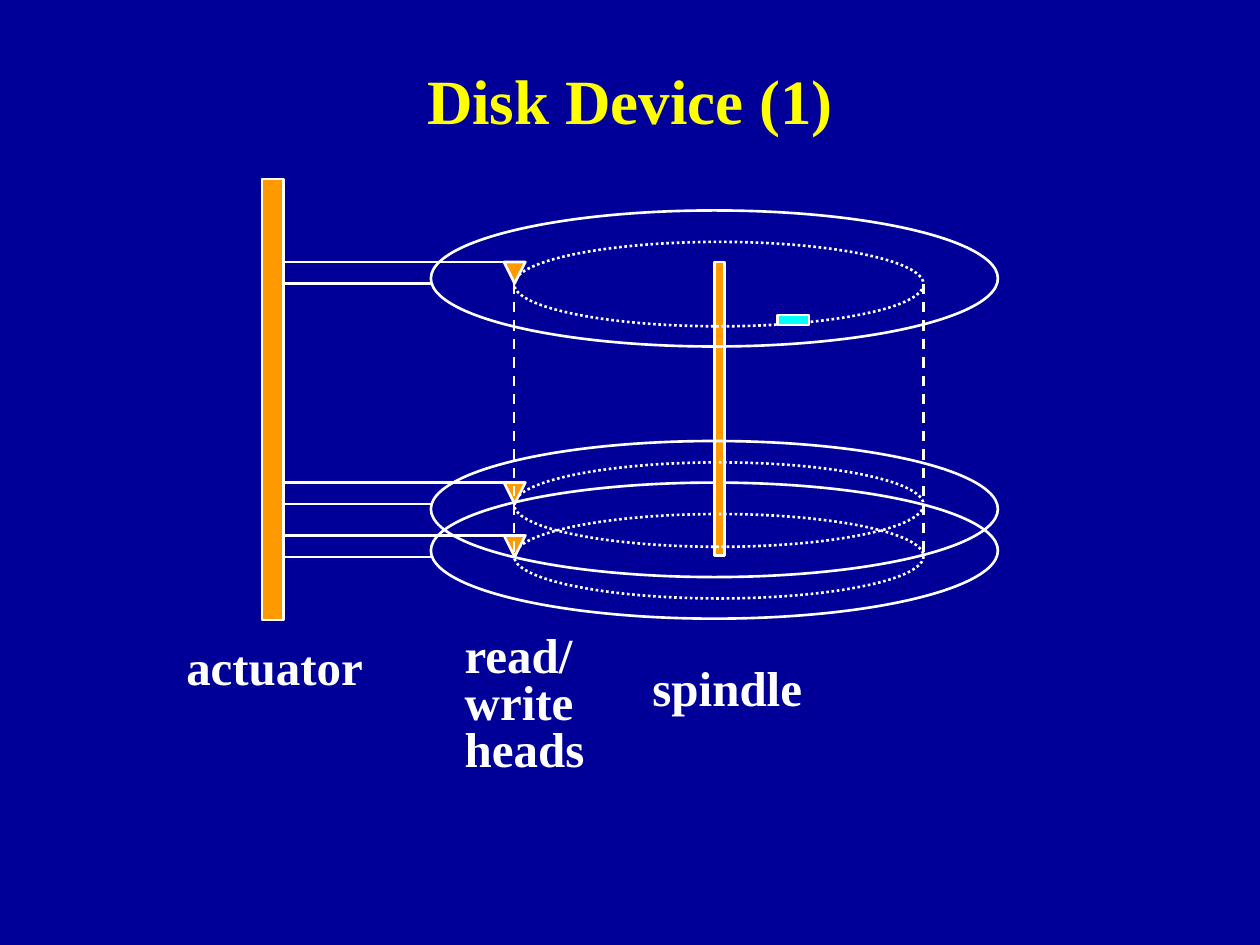
from lxml import etree
from pptx import Presentation
from pptx import util as u
from pptx.dml.color import RGBColor
from pptx.enum import dml, shapes, text
from pptx.oxml.ns import qn

NAVY = RGBColor(0x00, 0x00, 0x99)
YELLOW = RGBColor(0xFF, 0xFF, 0x00)
WHITE = RGBColor(0xFF, 0xFF, 0xFF)
ORANGE = RGBColor(0xFF, 0x99, 0x00)
CYAN = RGBColor(0x00, 0xFF, 0xFF)

SHAPE = shapes.MSO_SHAPE
DASH = dml.MSO_LINE


class Diagram:
    font_name = "Times New Roman"
    line_width = u.Pt(1.5)

    def __init__(self, slide):
        self.slide = slide
        slide.background.fill.solid()
        slide.background.fill.fore_color.rgb = NAVY

    def style_line(self, line, dash):
        line.color.rgb = WHITE
        line.width = self.line_width
        if dash:
            line.dash_style = dash

    def style_text(self, frame, size, color, spacing=None):
        for paragraph in frame.paragraphs:
            if spacing:
                paragraph.line_spacing = spacing
            for run in paragraph.runs:
                run.font.name = self.font_name
                run.font.size = u.Pt(size)
                run.font.bold = True
                run.font.color.rgb = color

    def title(self, words, left, top, width, height):
        title = self.slide.shapes.title
        title.left, title.top = u.Inches(left), u.Inches(top)
        title.width, title.height = u.Inches(width), u.Inches(height)
        frame = title.text_frame
        frame.text = words
        frame.vertical_anchor = text.MSO_ANCHOR.MIDDLE
        frame.paragraphs[0].alignment = text.PP_ALIGN.CENTER
        self.style_text(frame, 36, YELLOW)

    def shape(self, kind, left, top, width, height, fill=None, dash=None):
        shape = self.slide.shapes.add_shape(
            kind, u.Inches(left), u.Inches(top), u.Inches(width), u.Inches(height))
        shape.shadow.inherit = False
        if fill is None:
            shape.fill.background()
        else:
            shape.fill.solid()
            shape.fill.fore_color.rgb = fill
        self.style_line(shape.line, dash)

    def line(self, x1, y1, x2, y2, dash=None):
        connector = self.slide.shapes.add_connector(
            shapes.MSO_CONNECTOR.STRAIGHT,
            u.Inches(x1), u.Inches(y1), u.Inches(x2), u.Inches(y2))
        self.style_line(connector.line, dash)
        properties = connector._element.find(qn("p:spPr"))
        etree.SubElement(properties, qn("a:effectLst"))

    def label(self, words, left, top, width, height, spacing=None):
        box = self.slide.shapes.add_textbox(
            u.Inches(left), u.Inches(top), u.Inches(width), u.Inches(height))
        frame = box.text_frame
        frame.text = words
        frame.word_wrap = False
        frame.auto_size = text.MSO_AUTO_SIZE.SHAPE_TO_FIT_TEXT
        self.style_text(frame, 28, WHITE, spacing)

    def platter(self, top):
        self.shape(SHAPE.OVAL, 3.42, top, 4.5, 1.08)

    def track(self, top):
        self.shape(SHAPE.OVAL, 4.08, top, 3.25, 0.67, dash=DASH.ROUND_DOT)

    def arm(self, top):
        head_size = 0.17
        bottom = top + head_size
        self.line(2.25, top, 4.17, top)
        self.line(2.25, bottom, 3.42, bottom)
        self.shape(SHAPE.FLOWCHART_MERGE, 4, top, head_size, head_size, ORANGE)


def main():
    deck = Presentation()
    deck.slide_width, deck.slide_height = u.Inches(10), u.Inches(7.5)
    disk = Diagram(deck.slides.add_slide(deck.slide_layouts[5]))

    disk.title("Disk Device (1)", 0.75, 0.25, 8.5, 1.08)

    disk.platter(3.83)
    disk.shape(SHAPE.RECTANGLE, 5.67, 2.08, 0.08, 2.33, ORANGE)
    for platter_top in (3.5, 1.67):
        disk.platter(platter_top)
    for track_top in (1.92, 3.67, 4.08):
        disk.track(track_top)
    disk.shape(SHAPE.RECTANGLE, 6.17, 2.5, 0.25, 0.08, CYAN)

    disk.shape(SHAPE.RECTANGLE, 2.08, 1.42, 0.17, 3.5, ORANGE)
    for arm_top in (2.08, 3.83, 4.25):
        disk.arm(arm_top)

    disk.label("actuator", 1.38, 5, 1.62, 0.57)
    disk.label("read/\nwrite\nheads", 3.59, 5, 1.16, 1.23, spacing=0.8)
    disk.label("spindle", 5.08, 5.17, 1.4, 0.57)

    for cylinder_side in (7.33, 4.08):
        disk.line(cylinder_side, 2.25, cylinder_side, 4.42, DASH.DASH)

    deck.save("out.pptx")


if __name__ == "__main__":
    main()
